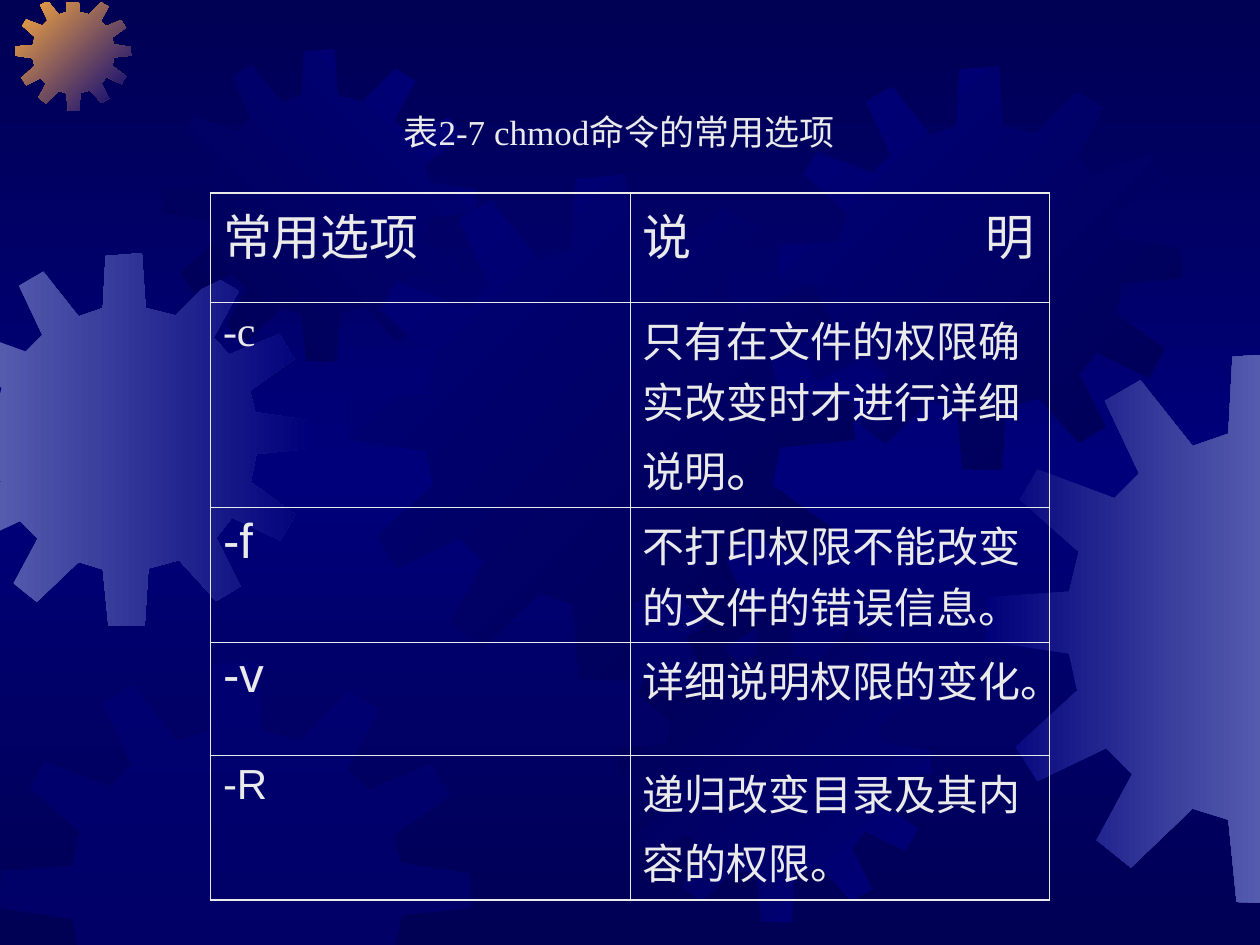
from copy import deepcopy

from lxml import etree
from pptx import Presentation
from pptx.dml.color import RGBColor
from pptx.enum.text import MSO_ANCHOR, MSO_AUTO_SIZE, PP_ALIGN
from pptx.oxml.ns import qn
from pptx.util import Inches, Pt

CENTER, LEFT = PP_ALIGN.CENTER, PP_ALIGN.LEFT
TOP, NO_FIT = MSO_ANCHOR.TOP, MSO_AUTO_SIZE.NONE

COLORS = {
    "navy": "000054",
    "blue": "00007A",
    "lilac": "555BAD",
    "orange": "FCAB40",
    "text": "EAEAEA",
}
CJK, SANS, SERIF = "Noto Sans CJK SC", "Arial", "Times New Roman"

# One gear outline on a grid of 401 units; every gear is a scaled version of it
GEAR_GRID = 401
GEAR_OUTLINE = [
    (255, 67), (223, 59), (219, 0), (180, 3), (177, 59), (151, 68),
    (113, 20), (87, 35), (112, 88), (94, 106), (38, 85), (25, 107),
    (68, 145), (61, 174), (1, 178), (0, 210), (61, 219), (67, 246),
    (22, 287), (38, 312), (88, 288), (107, 307), (81, 355), (106, 375),
    (151, 332), (177, 340), (183, 400), (222, 401), (226, 339), (259, 330),
    (299, 374), (325, 358), (299, 306), (316, 284), (368, 309), (384, 281),
    (336, 246), (342, 216), (401, 210), (400, 180), (341, 171), (335, 148),
    (383, 114), (367, 87), (313, 109), (296, 91), (323, 41), (297, 25),
]
# left, top, size, first colour, last colour, clockwise angle
GEARS = [
    (-0.49, 2.01, 2.96, "lilac", "blue", 0),
    (0.12, -0.04, 0.92, "orange", "blue", 45),
    (1.30, 0.39, 2.48, "navy", "blue", 315),
    (2.77, 1.39, 4.01, "blue", "navy", 45),
    (0, 5.25, 3.74, "blue", None, 0),
    (4.91, 4.84, 2.48, "navy", "blue", 45),
    (6.18, 0.53, 3.20, "blue", "navy", 45),
    (7.82, 2.80, 4.37, "blue", "lilac", 0),
]
# axis, limit, side that is kept
PAGE_EDGES = [(0, 0, 1), (0, 10, -1), (1, 0.02, 1), (1, 7.5, -1)]

# Each cell is a list of spans: text, size, font
ROWS = [
    (0.87, [("常用选项", 28, CJK)], [("说\t明", 28, CJK)]),
    (1.37, [("-c", 24, SERIF)],
     [("只有在文件的权限确实改变时才进行详细说明", 24, CJK), ("。", 28, CJK)]),
    (0.90, [("-f", 28, SANS)], [("不打印权限不能改变的文件的错误信息。", 24, CJK)]),
    (0.90, [("-v", 28, SANS)], [("详细说明权限的变化。", 24, CJK)]),
    (0.97, [("-R", 24, SANS)],
     [("递归改变目录及其内容的权限。", 24, CJK), (" ", 28, SANS)]),
]
CAPTION = [("表", 20, SANS), ("2-7 chmod", 20, SERIF), ("命令的常用选项", 20, SANS)]


def clip(points, axis, limit, side):
    """Cut a closed outline along one page edge."""
    kept = []
    for start, end in zip(points, points[1:] + points[:1]):
        start_in = (start[axis] - limit) * side >= 0
        end_in = (end[axis] - limit) * side >= 0
        if start_in:
            kept.append(start)
        if start_in != end_in:
            share = (limit - start[axis]) / (end[axis] - start[axis])
            kept.append(tuple(a + share * (b - a) for a, b in zip(start, end)))
    return kept


def write_spans(frame, spans, alignment, space_before):
    para = frame.paragraphs[0]
    para.alignment = alignment
    para.space_before = Pt(space_before)
    for text, size, font in spans:
        span = para.add_run()
        span.text = text
        for name, value in {"size": Pt(size), "name": font, "bold": False}.items():
            setattr(span.font, name, value)
        span.font.color.rgb = RGBColor.from_string(COLORS["text"])
        east_asian = etree.SubElement(span.font._element, qn("a:ea"))
        east_asian.set("typeface", CJK)
    return para


deck = Presentation()
deck.slide_width, deck.slide_height = Inches(10), Inches(7.5)
page = deck.slides.add_slide(deck.slide_layouts[5])

# Background: dark at both ends, lighter in the middle
backdrop = page.background.fill
backdrop.gradient()
backdrop.gradient_angle = 270
first_stop, last_stop = backdrop.gradient_stops
for stop, position in ((first_stop, 0), (last_stop, 1)):
    stop.position = position
    stop.color.rgb = RGBColor.from_string(COLORS["navy"])
first_gs = page.background._cSld.find(".//" + qn("a:gs"))
middle_gs = deepcopy(first_gs)
middle_gs.set("pos", "50000")
middle_gs.find(qn("a:srgbClr")).set("val", COLORS["blue"])
first_gs.addnext(middle_gs)

# Gears, cut at the page edges
for left, top, size, first_color, last_color, angle in GEARS:
    unit = size / GEAR_GRID
    points = [(left + x * unit, top + y * unit) for x, y in GEAR_OUTLINE]
    for edge in PAGE_EDGES:
        points = clip(points, *edge)
    corners = [(Inches(x), Inches(y)) for x, y in points]
    builder = page.shapes.build_freeform(*corners[0])
    builder.add_line_segments(corners[1:], close=True)
    gear = builder.convert_to_shape()
    gear.shadow.inherit = False
    gear.line.fill.background()
    if last_color:
        gear.fill.gradient()
        gear.fill.gradient_angle = (360 - angle) % 360
        for stop, color, position in zip(
                gear.fill.gradient_stops, (first_color, last_color), (0, 1)):
            stop.position = position
            stop.color.rgb = RGBColor.from_string(COLORS[color])
    else:
        gear.fill.solid()
        gear.fill.fore_color.rgb = RGBColor.from_string(COLORS[first_color])
        solid = gear.element.spPr.find(qn("a:solidFill"))
        etree.SubElement(solid[0], qn("a:alpha")).set("val", "50000")

# Table of options
table = page.shapes.add_table(
    len(ROWS), 2, Inches(1.67), Inches(1.53), Inches(6.67), Inches(5.01)).table
table.first_row = table.horz_banding = False
for column in table.columns:
    column.width = Inches(3.33)
for row_index, (height, *cells) in enumerate(ROWS):
    table.rows[row_index].height = Inches(height)
    for column_index, spans in enumerate(cells):
        cell = table.cell(row_index, column_index)
        cell.fill.background()
        para = write_spans(cell.text_frame, spans, LEFT, 7)
        if any("\t" in text for text, *_ in spans):
            tabs = etree.SubElement(para._p.get_or_add_pPr(), qn("a:tabLst"))
            etree.SubElement(tabs, qn("a:tab"), pos=str(Inches(2.72)), algn="l")
        outer = {
            "a:lnL": column_index == 0,
            "a:lnR": column_index == 1,
            "a:lnT": row_index == 0,
            "a:lnB": row_index == len(ROWS) - 1,
        }
        properties = cell._tc.get_or_add_tcPr()
        for order, (side, is_outer) in enumerate(outer.items()):
            border = etree.Element(qn(side), w=str(Pt(1.08 if is_outer else 0.45)))
            solid = etree.SubElement(border, qn("a:solidFill"))
            etree.SubElement(solid, qn("a:srgbClr"), val=COLORS["text"])
            properties.insert(order, border)

# Caption, in front of the gears
caption = page.shapes.title
caption.left, caption.top = Inches(1.58), Inches(0.83)
caption.width, caption.height = Inches(6.67), Inches(0.94)
frame = caption.text_frame
for name, value in {"word_wrap": True, "auto_size": NO_FIT,
                    "vertical_anchor": TOP}.items():
    setattr(frame, name, value)
write_spans(frame, CAPTION, CENTER, 5)
caption.element.getparent().append(caption.element)

deck.save("out.pptx")
